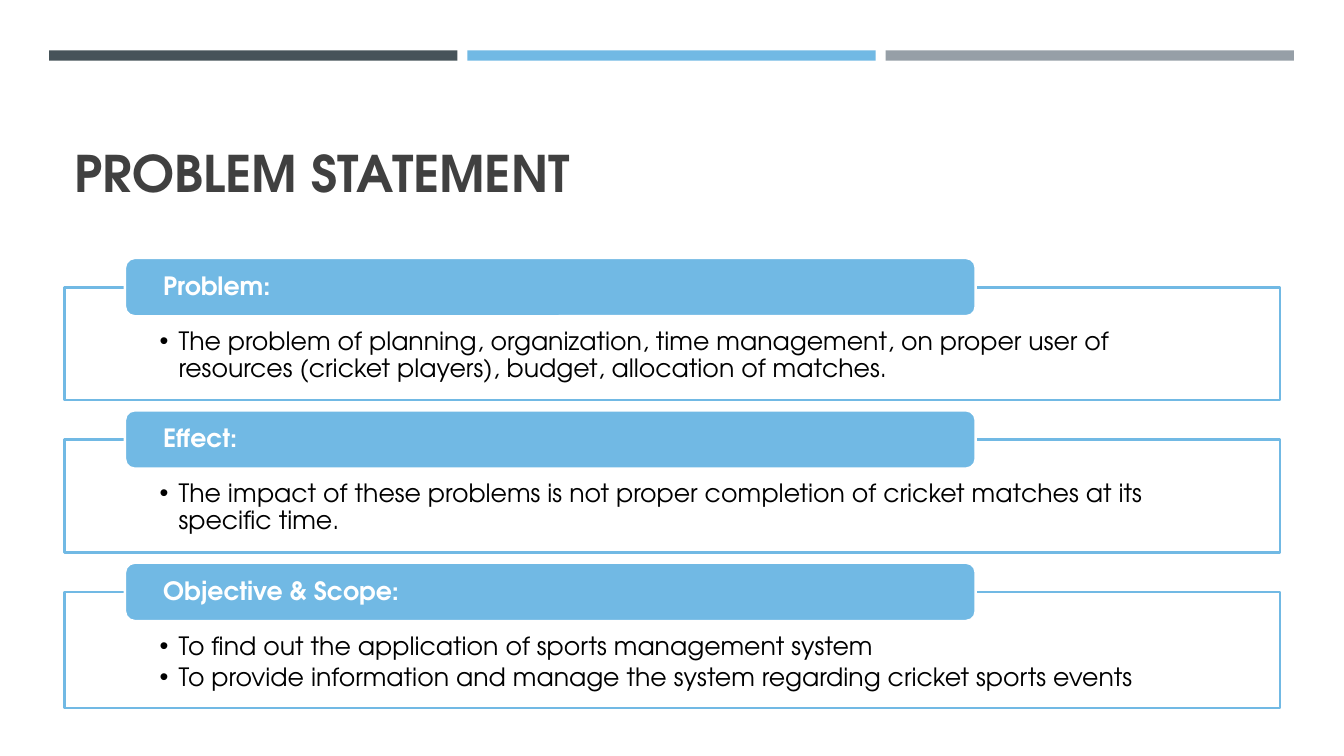
from dataclasses import dataclass

from lxml.etree import SubElement
from pptx import Presentation
from pptx.dml.color import RGBColor
from pptx.enum.shapes import MSO_SHAPE as Shape
from pptx.enum.text import MSO_ANCHOR as Anchor, MSO_AUTO_SIZE as AutoSize, PP_ALIGN as Align
from pptx.oxml.ns import qn
from pptx.util import Cm, Pt

FONT = "TeX Gyre Adventor"
SLATE = RGBColor(0x46, 0x53, 0x59)
BLUE = RGBColor(0x71, 0xB9, 0xE4)
GREY = RGBColor(0x96, 0x9F, 0xA7)
CHARCOAL = RGBColor(0x40, 0x40, 0x40)
WHITE = RGBColor(0xFF, 0xFF, 0xFF)
BLACK = RGBColor(0x00, 0x00, 0x00)

LEFT, WIDTH = Cm(1.63), Cm(30.63)
SECTION_TOP, SECTION_PITCH = Cm(7.24), Cm(3.84)
HEADING_RISE = Cm(0.74)
BULLET_INDENT = Cm(0.48)


@dataclass
class Section:
    heading: str
    points: list[str]
    height: float


SECTIONS = [
    Section("Problem:", [
        "The problem of planning, organization, time management, on proper user of "
        "resources (cricket players), budget, allocation of matches."], 2.84),
    Section("Effect:", [
        "The impact of these problems is not proper completion of cricket matches at its "
        "specific time."], 2.84),
    Section("Objective & Scope:", [
        "To find out the application of sports management system",
        "To provide information and manage the system regarding cricket sports events"], 2.92),
]


def place(shape, left: int, top: int, width: int, height: int) -> None:
    shape.left, shape.top, shape.width, shape.height = left, top, width, height


def paint(shape, fill: RGBColor, line: RGBColor) -> None:
    shape.fill.solid()
    shape.fill.fore_color.rgb = fill
    shape.line.color.rgb = line
    shape.line.width = Pt(1.75)


def set_frame(frame, anchor: Anchor, side: float, top: float, bottom: float) -> None:
    frame.word_wrap = True
    frame.auto_size = AutoSize.NONE
    frame.vertical_anchor = anchor
    frame.margin_left = frame.margin_right = Cm(side)
    frame.margin_top, frame.margin_bottom = Cm(top), Cm(bottom)


def style(paragraph, size: int, color: RGBColor, bold: bool) -> None:
    paragraph.alignment = Align.LEFT
    paragraph.line_spacing = 0.9
    paragraph.space_before = Pt(0)
    font = paragraph.font
    font.name, font.size, font.bold = FONT, Pt(size), bold
    font.color.rgb = color


def add_bullet(paragraph) -> None:
    properties = paragraph._p.get_or_add_pPr()
    properties.set("marL", str(BULLET_INDENT))
    properties.set("indent", str(-BULLET_INDENT))
    SubElement(properties, qn("a:buFont"), typeface="Arial")
    SubElement(properties, qn("a:buChar"), char="•")


def fill_section(slide, body, section: Section, top: int) -> None:
    # Outlined list
    place(body, LEFT, top, WIDTH, Cm(section.height))
    paint(body, WHITE, BLUE)
    frame = body.text_frame
    frame.text = "\n".join(section.points)
    set_frame(frame, Anchor.TOP, 2.39, 1.04, 0.36)
    for point in frame.paragraphs:
        add_bullet(point)
        style(point, 18, BLACK, False)
        point.space_after = Pt(2.7)

    # Heading tab across the upper edge
    heading = slide.shapes.add_shape(
        Shape.ROUNDED_RECTANGLE, Cm(3.15), top - HEADING_RISE, Cm(21.44), Cm(1.47))
    heading.shadow.inherit = False
    paint(heading, BLUE, WHITE)
    heading.text_frame.text = section.heading
    set_frame(heading.text_frame, Anchor.MIDDLE, 0.89, 0, 0)
    style(heading.text_frame.paragraphs[0], 18, WHITE, True)


def main() -> None:
    deck = Presentation()
    deck.slide_width, deck.slide_height = Cm(33.87), Cm(19.05)
    slide = deck.slides.add_slide(deck.slide_layouts.get_by_name("Comparison"))

    # Colour bars along the top
    for column, color in enumerate((SLATE, BLUE, GREY)):
        bar = slide.shapes.add_shape(
            Shape.RECTANGLE, Cm(1.24 + column * 10.54), Cm(1.27), Cm(10.29), Cm(0.26))
        bar.shadow.inherit = False
        bar.fill.solid()
        bar.fill.fore_color.rgb = color
        bar.line.fill.background()

    # Title
    title = slide.shapes.title
    place(title, LEFT, Cm(1.96), WIDTH, Cm(3.3))
    title.text_frame.text = "PROBLEM STATEMENT"
    set_frame(title.text_frame, Anchor.BOTTOM, 0.25, 0.13, 0.13)
    style(title.text_frame.paragraphs[0], 36, CHARCOAL, True)

    # Sections, one body placeholder each
    bodies = [slide.placeholders[index] for index in (1, 2, 3)]
    for row, (body, section) in enumerate(zip(bodies, SECTIONS)):
        fill_section(slide, body, section, SECTION_TOP + row * SECTION_PITCH)

    # Placeholders left empty
    for spare in list(slide.placeholders):
        if not spare.text_frame.text:
            spare.element.getparent().remove(spare.element)

    deck.save("out.pptx")


if __name__ == "__main__":
    main()
